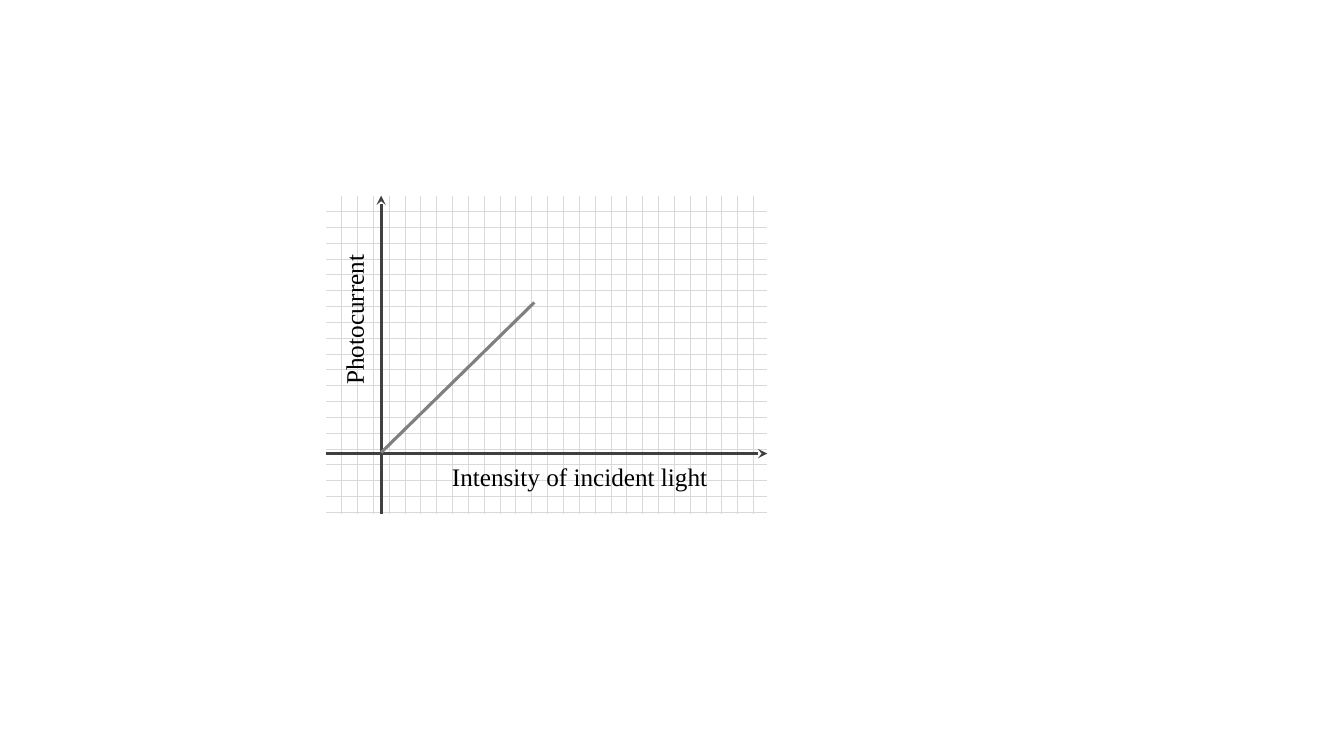
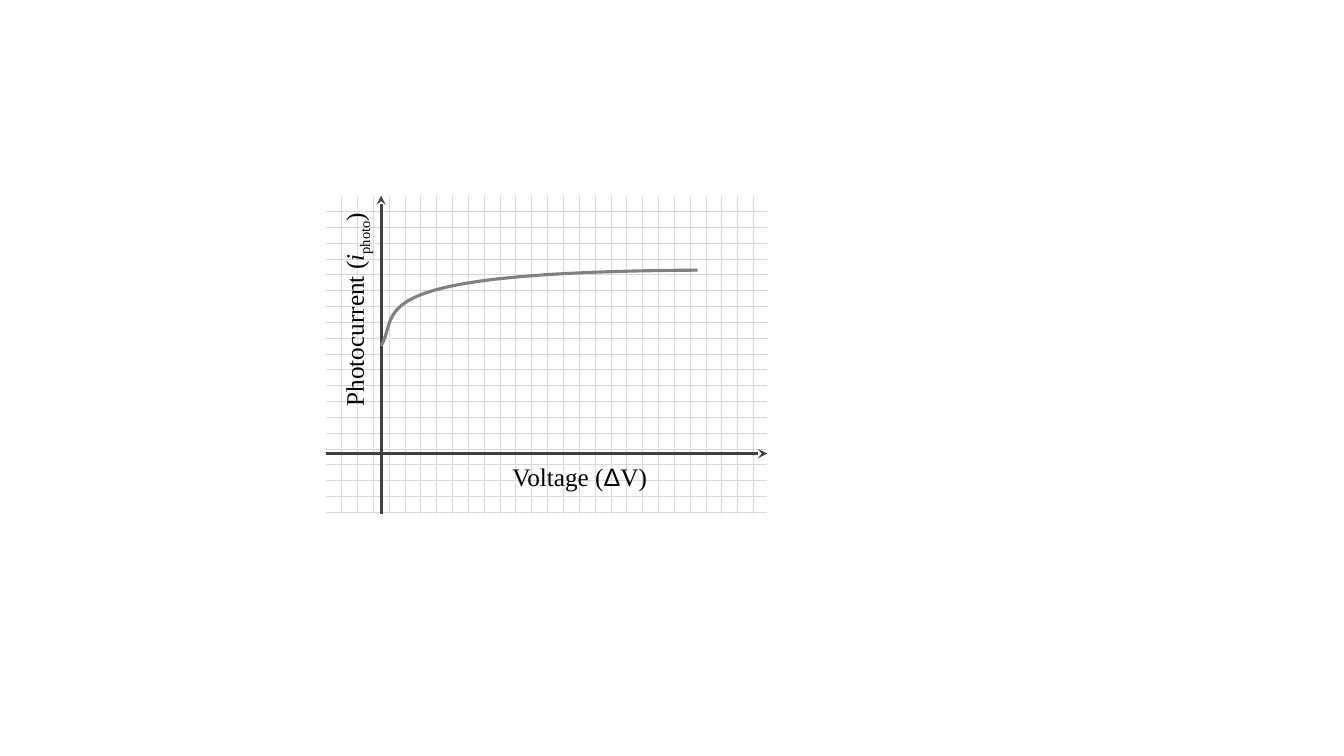
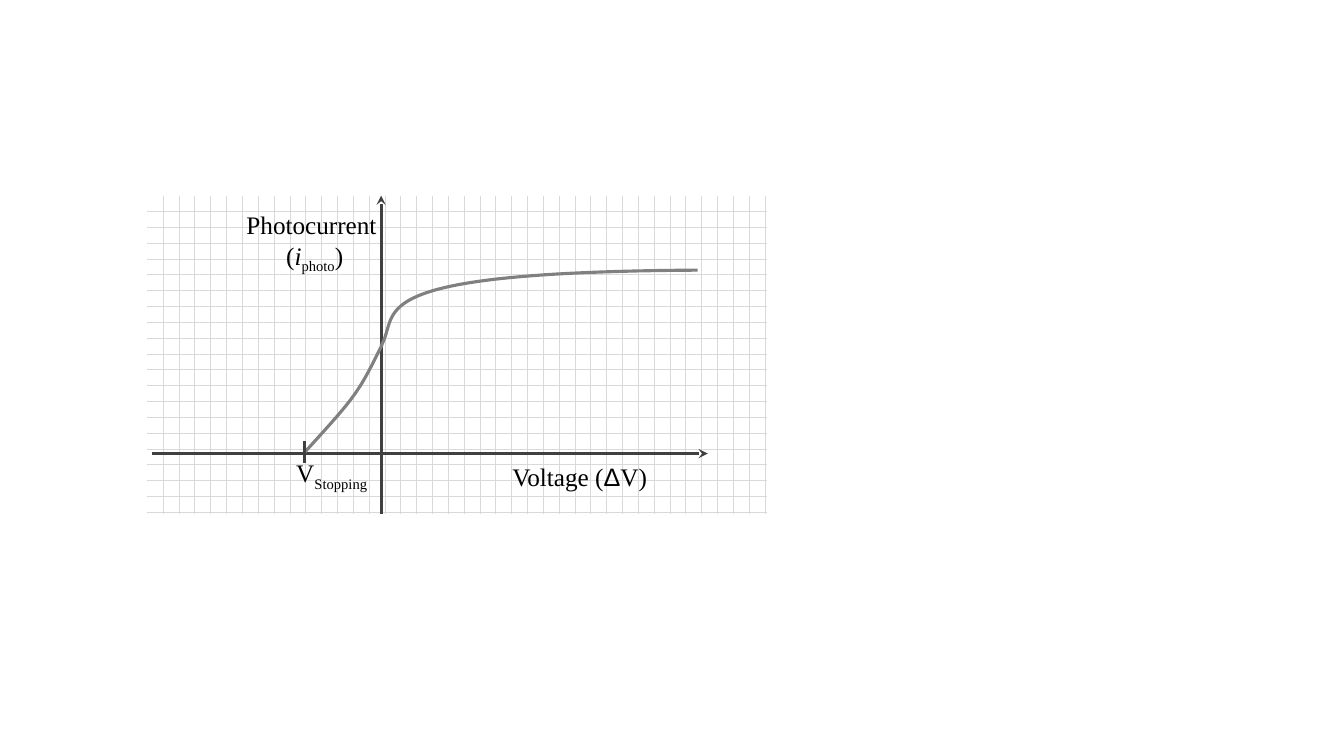
from lxml.etree import SubElement
from pptx import Presentation
from pptx.dml.color import RGBColor
from pptx.enum.dml import MSO_PATTERN
from pptx.enum.shapes import MSO_CONNECTOR, MSO_SHAPE
from pptx.enum.text import MSO_AUTO_SIZE, PP_ALIGN
from pptx.oxml.ns import qn
from pptx.util import Inches, Pt

GRID, PAPER, AXIS, CURVE, INK = "D9D9D9", "FFFFFF", "404040", "808080", "000000"
SERIF, SANS = "Times New Roman", "Arial"
LINE_WIDTH, TEXT_SIZE, LINE_HEIGHT = 2.25, 18, 0.3
GRAPH_TOP, GRAPH_BOTTOM, GRAPH_RIGHT = 1.94, 5.1, 7.61
ORIGIN_X, ORIGIN_Y = 3.78, 4.5
CURVE_STEPS = 48

VOLTAGE = [("Voltage (", {}), ("Δ", {"font": SANS}), ("V)", {})]
PHOTO_SYMBOL = [("i", {"italic": True}), ("photo", {"subscript": True}), (")", {})]
SATURATION = [(3.78, 3.43), (3.98, 3.1), (3.49, 2.7), (6.92, 2.68)]
STOPPING = [(3.02, 4.49), (3.52, 3.94), (3.55, 3.91), (3.79, 3.42)]


def colour(value):
    """Turn a hex string into a colour."""
    return RGBColor.from_string(value)


def bezier(points, t):
    """Return the point at t on a cubic curve, in EMU."""
    weights = ((1 - t) ** 3, 3 * t * (1 - t) ** 2, 3 * t ** 2 * (1 - t), t ** 3)
    return tuple(Inches(sum(w * p[axis] for w, p in zip(weights, points))) for axis in (0, 1))


class GraphDeck:
    """Draw graphs in one shared style on the current slide."""

    def __init__(self):
        """Start an empty widescreen presentation."""
        self.presentation = Presentation()
        self.presentation.slide_width = Inches(13.33)
        self.presentation.slide_height = Inches(7.5)
        self.slide = None

    def add_slide(self):
        """Begin a blank slide."""
        self.slide = self.presentation.slides.add_slide(self.presentation.slide_layouts[6])

    def style_line(self, line, line_colour):
        """Apply the shared line width and a colour."""
        line.color.rgb = colour(line_colour)
        line.width = Pt(LINE_WIDTH)

    def grid(self, left):
        """Draw the graph paper."""
        shape = self.slide.shapes.add_shape(
            MSO_SHAPE.RECTANGLE, Inches(left), Inches(GRAPH_TOP),
            Inches(GRAPH_RIGHT - left), Inches(GRAPH_BOTTOM - GRAPH_TOP))
        shape.shadow.inherit = False
        shape.fill.patterned()
        shape.fill.pattern = MSO_PATTERN.DOTTED_GRID
        shape.fill.fore_color.rgb = colour(GRID)
        shape.fill.back_color.rgb = colour(PAPER)
        shape.line.fill.background()

    def line(self, start, end, line_colour=AXIS, arrow=False):
        """Draw a straight line, with an arrowhead at its end if wanted."""
        connector = self.slide.shapes.add_connector(
            MSO_CONNECTOR.STRAIGHT, *(Inches(value) for value in (*start, *end)))
        self.style_line(connector.line, line_colour)
        properties = connector._element.spPr
        if arrow:
            SubElement(properties.find(qn("a:ln")), qn("a:tailEnd"), type="stealth")
        SubElement(properties, qn("a:effectLst"))

    def axes(self, grid_left, axis_left, axis_right):
        """Draw the graph paper and both axes."""
        self.grid(grid_left)
        self.line((ORIGIN_X, GRAPH_BOTTOM), (ORIGIN_X, GRAPH_TOP), arrow=True)
        self.line((axis_left, ORIGIN_Y), (axis_right, ORIGIN_Y), arrow=True)

    def curve(self, points):
        """Draw a cubic curve through its four control points."""
        vertices = [bezier(points, step / CURVE_STEPS) for step in range(CURVE_STEPS + 1)]
        builder = self.slide.shapes.build_freeform(*vertices[0])
        builder.add_line_segments(vertices[1:], close=False)
        shape = builder.convert_to_shape()
        shape.shadow.inherit = False
        shape.fill.background()
        self.style_line(shape.line, CURVE)

    def add_run(self, paragraph, text, font=SERIF, italic=False, subscript=False):
        """Add one formatted run."""
        run = paragraph.add_run()
        run.text = text
        run.font.name = font
        run.font.size = Pt(TEXT_SIZE)
        run.font.italic = italic
        run.font.color.rgb = colour(INK)
        if subscript:
            run._r.get_or_add_rPr().set("baseline", "-25000")

    def label(self, left, top, width, *lines, rotation=0):
        """Write a centred label, each line a list of runs."""
        shape = self.slide.shapes.add_textbox(
            Inches(left), Inches(top), Inches(width), Inches(LINE_HEIGHT * len(lines)))
        shape.rotation = rotation
        frame = shape.text_frame
        frame.margin_left = frame.margin_right = frame.margin_top = frame.margin_bottom = 0
        frame.word_wrap = True
        frame.auto_size = MSO_AUTO_SIZE.SHAPE_TO_FIT_TEXT
        paragraph = frame.paragraphs[0]
        paragraph.alignment = PP_ALIGN.CENTER
        for index, runs in enumerate(lines):
            if index:
                paragraph.add_line_break()
            for text, style in runs:
                self.add_run(paragraph, text, **style)

    def horizontal_label(self, runs):
        """Write the label under the horizontal axis."""
        self.label(4.43, 4.58, 2.64, runs)


def intensity_slide(deck):
    """Show photocurrent against light intensity."""
    deck.add_slide()
    deck.axes(3.23, 3.23, GRAPH_RIGHT)
    deck.horizontal_label([("Intensity of incident light", {})])
    deck.label(2.84, 3.02, 1.34, [("Photocurrent", {})], rotation=270)
    deck.line((ORIGIN_X, 4.49), (5.3, 3), CURVE)


def voltage_slide(deck):
    """Show photocurrent against positive voltage."""
    deck.add_slide()
    deck.axes(3.23, 3.23, GRAPH_RIGHT)
    deck.horizontal_label(VOLTAGE)
    deck.label(2.49, 2.92, 2.04, [("Photocurrent (", {}), *PHOTO_SYMBOL], rotation=270)
    deck.curve(SATURATION)


def stopping_slide(deck):
    """Show photocurrent down to the stopping voltage."""
    deck.add_slide()
    deck.axes(1.46, 1.51, 7.02)
    deck.horizontal_label(VOLTAGE)
    deck.label(2.07, 2.08, 2.04, [("Photocurrent", {})], [(" (", {}), *PHOTO_SYMBOL])
    deck.curve(SATURATION)
    deck.curve(STOPPING)
    deck.label(1.97, 4.54, 2.64, [("V", {}), ("Stopping", {"subscript": True})])
    deck.line((3.02, 4.59), (3.02, 4.38))


def main():
    """Build and save the three slides."""
    deck = GraphDeck()
    intensity_slide(deck)
    voltage_slide(deck)
    stopping_slide(deck)
    deck.presentation.save("out.pptx")


if __name__ == "__main__":
    main()
